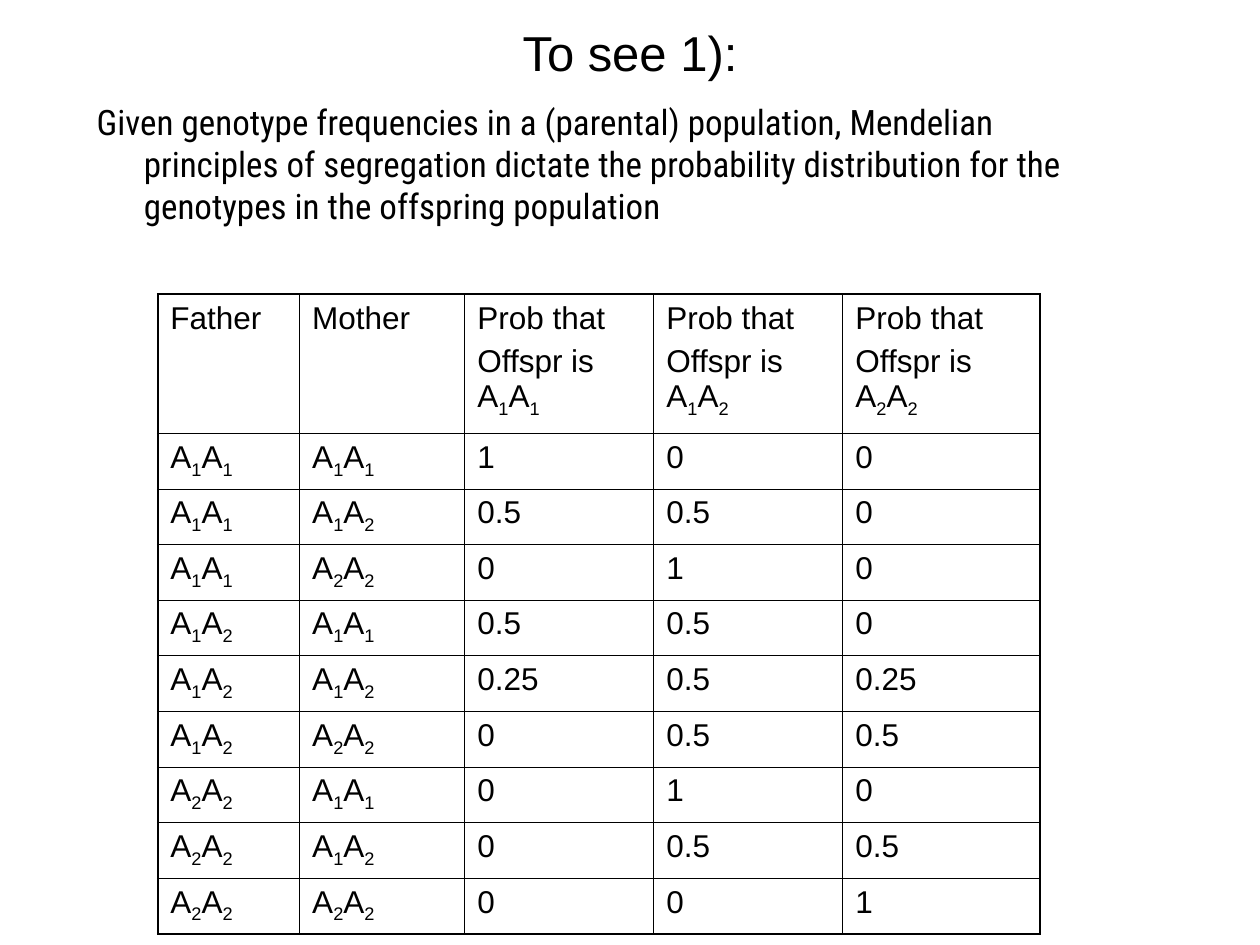
from dataclasses import dataclass
from itertools import groupby, product

from lxml import etree
from pptx import Presentation
from pptx.dml.color import RGBColor
from pptx.enum.text import MSO_ANCHOR, PP_ALIGN
from pptx.oxml.ns import qn
from pptx.util import Cm, Pt

CENTER = PP_ALIGN.CENTER
LEFT = PP_ALIGN.LEFT
MIDDLE = MSO_ANCHOR.MIDDLE
TOP = MSO_ANCHOR.TOP
TITLE_ONLY = 5

GENOTYPES = {"A1A1": 1, "A1A2": 0.5, "A2A2": 0}
INTRODUCTION = (
    "Given genotype frequencies in a (parental) population, Mendelian "
    "principles of segregation dictate the probability distribution for the "
    "genotypes in the offspring population"
)


@dataclass(frozen=True)
class Theme:
    ink: str = "000000"
    heading_font: str = "Arial"
    body_font: str = "Roboto Condensed"
    title_size: float = 28
    body_size: float = 20
    table_size: float = 18
    outer_line: float = 1.08
    inner_line: float = 0.45


class SlideBuilder:
    def __init__(self, presentation, theme):
        self.theme = theme
        self.slide = presentation.slides.add_slide(presentation.slide_layouts[TITLE_ONLY])

    def format_run(self, run, size, font):
        run.font.size = Pt(size)
        run.font.name = font
        run.font.color.rgb = RGBColor.from_string(self.theme.ink)

    def add_title(self, text, left, top, width, height):
        title = self.slide.shapes.title
        title.left, title.top, title.width, title.height = left, top, width, height
        frame = title.text_frame
        frame.text = text
        frame.vertical_anchor = MIDDLE
        paragraph = frame.paragraphs[0]
        paragraph.alignment = CENTER
        self.format_run(paragraph.runs[0], self.theme.title_size, self.theme.heading_font)

    def add_body(self, text, left, top, width, height):
        frame = self.slide.shapes.add_textbox(left, top, width, height).text_frame
        frame.word_wrap = True
        frame.vertical_anchor = TOP
        frame.text = text
        paragraph = frame.paragraphs[0]
        paragraph.alignment = LEFT
        paragraph.space_before = Pt(5)
        properties = paragraph._p.get_or_add_pPr()
        properties.set("marL", str(Cm(0.95)))
        properties.set("indent", str(-Cm(0.95)))
        self.format_run(paragraph.runs[0], self.theme.body_size, self.theme.body_font)

    def add_table(self, rows, left, top, column_widths, row_heights):
        table = self.slide.shapes.add_table(
            len(rows), len(column_widths), left, top, sum(column_widths), sum(row_heights)
        ).table
        table.first_row = False
        table.horz_banding = False
        for column, width in zip(table.columns, column_widths):
            column.width = width
        for row, height in zip(table.rows, row_heights):
            row.height = height
        last_row, last_column = len(rows) - 1, len(column_widths) - 1
        for row_index, values in enumerate(rows):
            for column_index, text in enumerate(values):
                cell = table.cell(row_index, column_index)
                self.fill_cell(cell, text)
                self.border_cell(cell, {
                    "a:lnL": column_index == 0,
                    "a:lnR": column_index == last_column,
                    "a:lnT": row_index == 0,
                    "a:lnB": row_index == last_row,
                })
                cell.fill.background()

    def fill_cell(self, cell, text):
        frame = cell.text_frame
        for index, line in enumerate(text.split("\n")):
            paragraph = frame.add_paragraph() if index else frame.paragraphs[0]
            paragraph.space_before = Pt(4.5)
            has_allele = "A" in line
            parts = groupby(line, lambda character: has_allele and character.isdigit())
            for is_subscript, characters in parts:
                run = paragraph.add_run()
                run.text = "".join(characters)
                self.format_run(run, self.theme.table_size, self.theme.heading_font)
                if is_subscript:
                    run.font._element.set("baseline", "-25000")

    def border_cell(self, cell, edges):
        properties = cell._tc.get_or_add_tcPr()
        for tag, is_outer in edges.items():
            width = self.theme.outer_line if is_outer else self.theme.inner_line
            line = etree.SubElement(properties, qn(tag), w=str(Pt(width)))
            fill = etree.SubElement(line, qn("a:solidFill"))
            etree.SubElement(fill, qn("a:srgbClr"), val=self.theme.ink)


def cross(father, mother):
    father_share, mother_share = GENOTYPES[father], GENOTYPES[mother]
    both_first = father_share * mother_share
    both_second = (1 - father_share) * (1 - mother_share)
    probabilities = (both_first, 1 - both_first - both_second, both_second)
    return [father, mother, *(f"{value:g}" for value in probabilities)]


def main():
    presentation = Presentation()
    presentation.slide_width = Cm(25.4)
    presentation.slide_height = Cm(19.05)
    builder = SlideBuilder(presentation, Theme())
    builder.add_title("To see 1):", Cm(1.06), Cm(0.42), Cm(23.28), Cm(1.27))
    builder.add_body(INTRODUCTION, Cm(1.7), Cm(1.9), Cm(21.17), Cm(6.14))
    header = ["Father", "Mother", *(f"Prob that\nOffspr is {name}" for name in GENOTYPES)]
    crosses = [cross(father, mother) for father, mother in product(GENOTYPES, repeat=2)]
    builder.add_table(
        [header, *crosses],
        Cm(3.18),
        Cm(5.93),
        [Cm(width) for width in (2.86, 3.33, 3.81, 3.81, 3.97)],
        [Cm(2.8)] + [Cm(1.12)] * len(crosses),
    )
    presentation.save("out.pptx")


if __name__ == "__main__":
    main()
